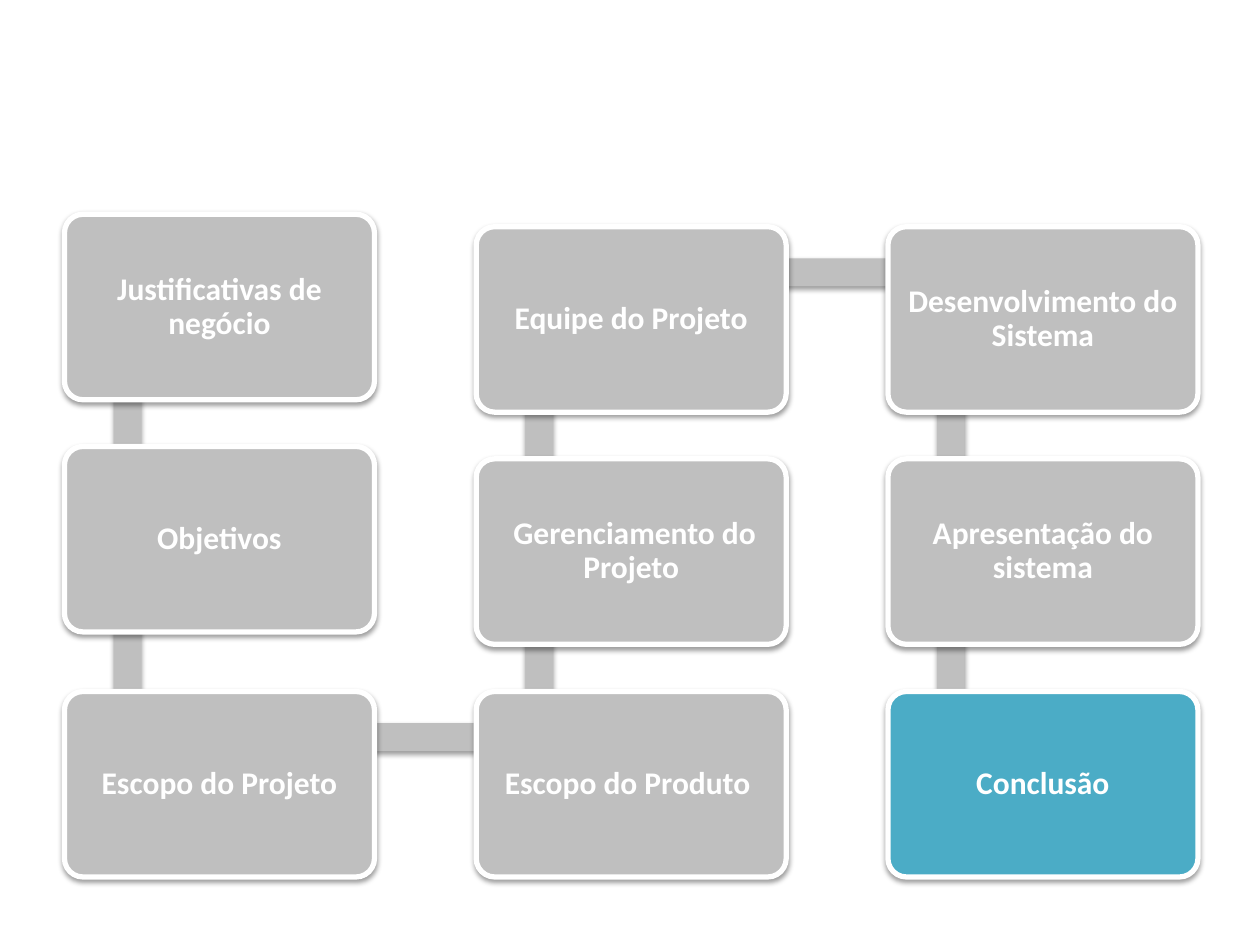
from itertools import pairwise

from lxml.etree import SubElement
from pptx import Presentation
from pptx.dml.color import RGBColor
from pptx.enum.shapes import MSO_SHAPE as Shape
from pptx.enum.text import MSO_ANCHOR as Anchor, PP_ALIGN as Align
from pptx.oxml.ns import qn
from pptx.util import Cm, Pt

GRAY = RGBColor(0xBF, 0xBF, 0xBF)
TEAL = RGBColor(0x4B, 0xAC, 0xC6)
WHITE = RGBColor(0xFF, 0xFF, 0xFF)

# Grid of topics, in centimetres
LEFT, COLUMN_STEP = 1.3, 8.3
BOX_WIDTH, BOX_HEIGHT = 6.25, 3.74
FIRST_COLUMN_TOPS = (4.32, 9, 13.94)
OTHER_COLUMN_TOPS = (4.57, 9.25, 13.94)

# The path passes through this point inside every box
PATH_X, PATH_Y, PATH_THICKNESS = 1.27, 0.92, 0.56

TOPICS = (
    "Justificativas de negócio", "Objetivos", "Escopo do Projeto",
    "Escopo do Produto ", " Gerenciamento do Projeto", "Equipe do Projeto",
    "Desenvolvimento do Sistema", "Apresentação do sistema", "Conclusão",
)


def write_text(frame, text, *, font="Calibri", size=18, color=WHITE, bold=True,
               align=Align.CENTER, spacing=0.9, inset=0.18):
    frame.word_wrap = True
    frame.vertical_anchor = Anchor.MIDDLE
    frame.margin_left = frame.margin_right = Cm(inset)
    frame.margin_top = frame.margin_bottom = Cm(inset)
    para = frame.paragraphs[0]
    para.alignment = align
    para.line_spacing = spacing
    span = para.add_run()
    span.text = text
    span.font.name = font
    span.font.size = Pt(size)
    span.font.bold = bold
    span.font.color.rgb = color


def add_shadow(shape):
    """Give the shape a soft shadow straight below it."""
    shape.shadow.inherit = False
    effects = shape._element.spPr.find(qn("a:effectLst"))
    shadow = SubElement(effects, qn("a:outerShdw"), blurRad=str(Pt(3.1)),
                        dist=str(Pt(1.6)), dir="5400000", rotWithShape="0")
    color = SubElement(shadow, qn("a:srgbClr"), val="000000")
    SubElement(color, qn("a:alpha"), val="38000")


class TopicMap:
    def __init__(self, page, line_width=3, corner=0.1):
        self.page = page
        self.line_width = Pt(line_width)
        self.corner = corner

    def shape(self, kind, left, top, width, height, fill):
        shape = self.page.shapes.add_shape(
            kind, Cm(left), Cm(top), Cm(width), Cm(height))
        shape.fill.solid()
        shape.fill.fore_color.rgb = fill
        shape.line.fill.background()
        add_shadow(shape)
        return shape

    def bar(self, start, end):
        """Draw the stretch of path between two boxes."""
        (x1, y1), (x2, y2) = start, end
        half = PATH_THICKNESS / 2
        if x1 == x2:
            area = (x1 + PATH_X - half, min(y1, y2) + PATH_Y,
                    PATH_THICKNESS, abs(y2 - y1))
        else:
            area = (x1 + PATH_X, y1 + PATH_Y - half, x2 - x1, PATH_THICKNESS)
        self.shape(Shape.RECTANGLE, *area, GRAY)

    def box(self, place, text, fill):
        box = self.shape(Shape.ROUNDED_RECTANGLE, *place,
                         BOX_WIDTH, BOX_HEIGHT, fill)
        box.adjustments[0] = self.corner
        box.line.color.rgb = WHITE
        box.line.width = self.line_width
        write_text(box.text_frame, text)


def topic_places():
    """Go down the first column, up the second and down the third."""
    columns = (FIRST_COLUMN_TOPS, OTHER_COLUMN_TOPS[::-1], OTHER_COLUMN_TOPS)
    return [(LEFT + column * COLUMN_STEP, top)
            for column, tops in enumerate(columns) for top in tops]


def main():
    deck = Presentation()
    deck.slide_width, deck.slide_height = Cm(25.4), Cm(19.05)
    topic_map = TopicMap(deck.slides.add_slide(deck.slide_layouts[6]))
    places = topic_places()

    # Path, behind the boxes
    for start, end in pairwise(places):
        topic_map.bar(start, end)

    # Topics, with the current one highlighted
    for place, topic in zip(places, TOPICS):
        topic_map.box(place, topic, TEAL if topic == TOPICS[-1] else GRAY)

    deck.save("out.pptx")


if __name__ == "__main__":
    main()
